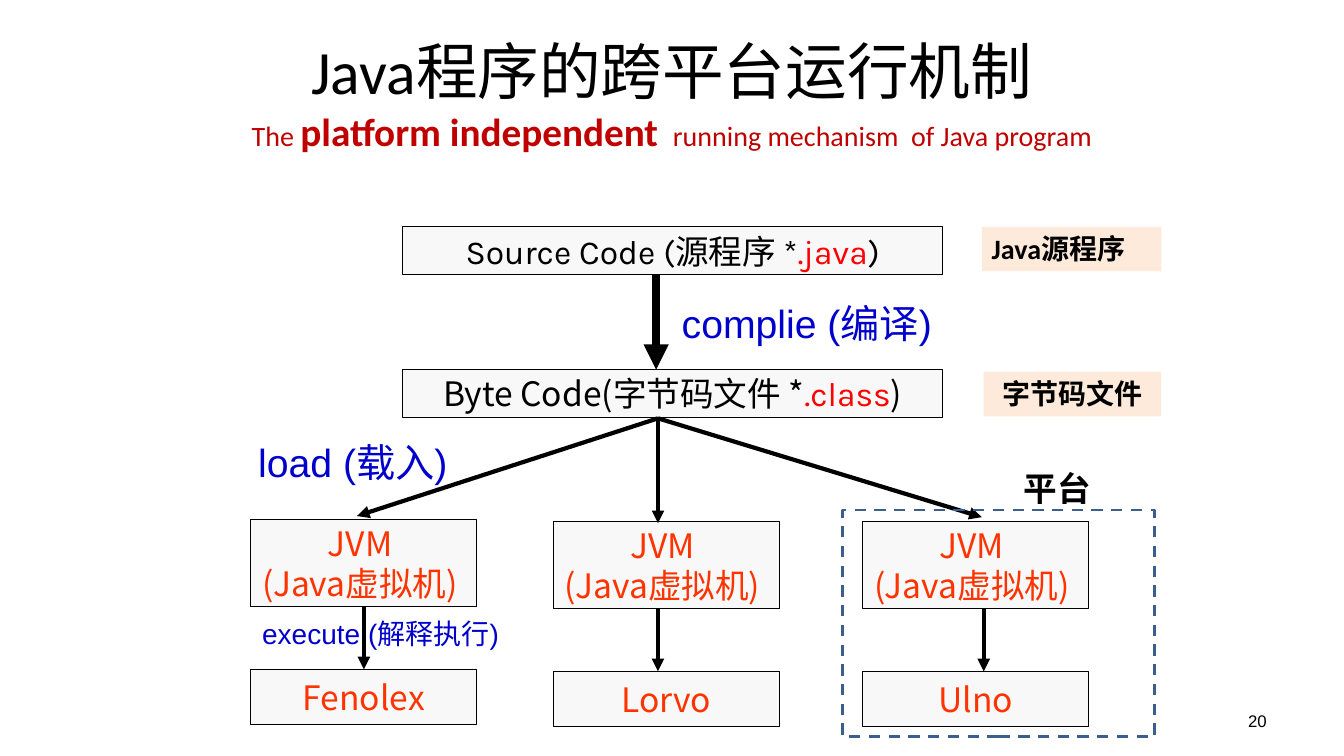
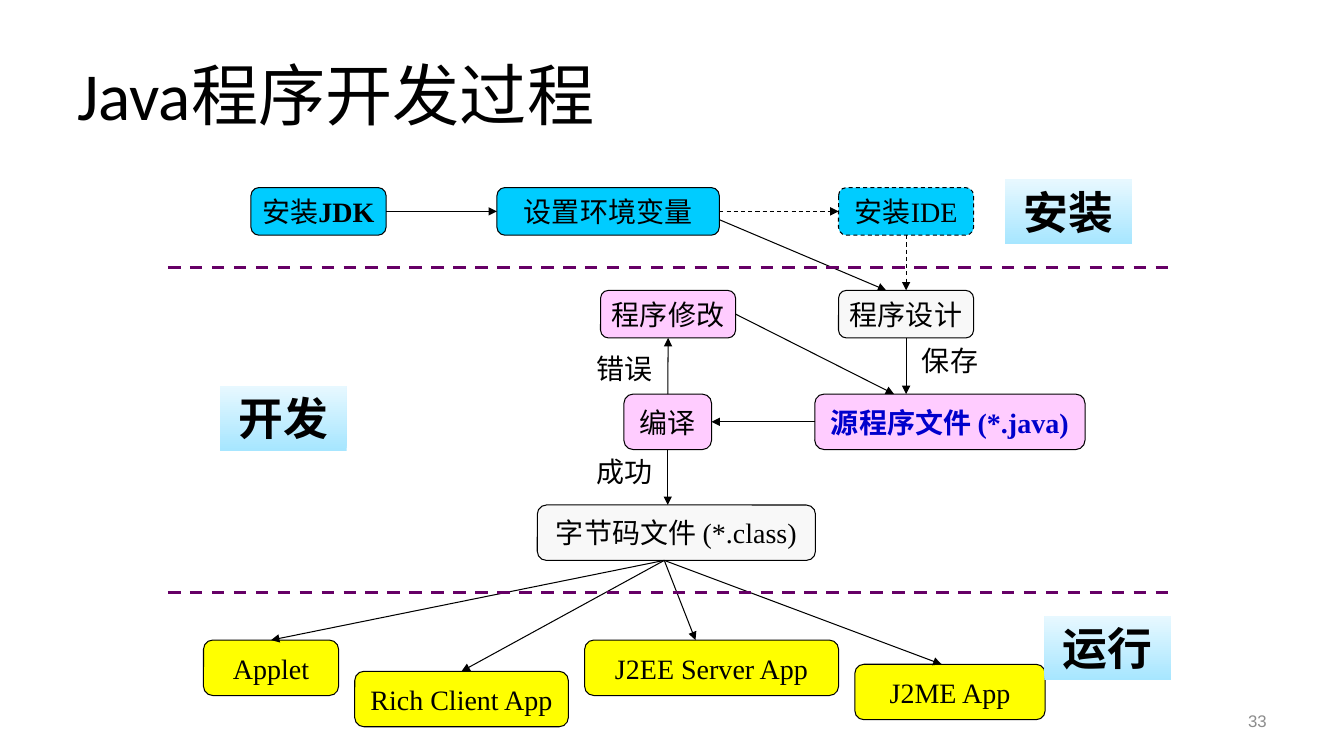
"""Build two slides on how Java programs run across platforms and are developed."""
from dataclasses import dataclass
from typing import NamedTuple, Optional, Union

from lxml.etree import SubElement
from pptx import Presentation
from pptx.dml.color import RGBColor
from pptx.enum.dml import MSO_LINE
from pptx.enum.shapes import MSO_CONNECTOR, MSO_SHAPE
from pptx.enum.text import MSO_ANCHOR as ANCHOR, PP_ALIGN as ALIGN
from pptx.oxml.ns import qn
from pptx.util import Pt

COLORS = {
    "black": "000000", "gray": "8C8C8C", "pale": "F8F8F8", "crimson": "C00000",
    "red": "FF0000", "orange": "FF3300", "blue": "0000CC", "peach": "FDEADA",
    "navy": "3A5F8C", "cyan": "00CCFF", "pink": "FFCCFF", "yellow": "FFFF00",
    "purple": "660066", "sky": "A7E6FF", "ice": "E7F8FF",
}
SANS, SERIF, ARIAL, KARLA = "Calibri", "Times New Roman", "Arial", "Karla"
CJK = "Noto Sans CJK SC"
RECT, ROUNDED = MSO_SHAPE.RECTANGLE, MSO_SHAPE.FLOWCHART_ALTERNATE_PROCESS
TOP, LEFT, BOTTOM, RIGHT = range(4)
BREAK = "\n"


class Run(NamedTuple):
    text: str
    size: float = 20
    font: str = SANS
    color: str = "black"
    bold: bool = False


class Joint(NamedTuple):
    box: str
    side: int


class Point(NamedTuple):
    x: float
    y: float


@dataclass
class Box:
    x: float
    y: float
    w: float
    h: float
    paragraphs: tuple[tuple[Run, ...], ...] = ()
    kind: Optional[MSO_SHAPE] = None
    fill: Optional[str] = None
    fade: Optional[str] = None
    line: Optional[str] = None
    width: float = 0.75
    dash: bool = False
    align: ALIGN = ALIGN.CENTER
    anchor: ANCHOR = ANCHOR.MIDDLE
    wrap: bool = True
    name: str = ""


@dataclass
class Link:
    start: Union[Joint, Point]
    end: Union[Joint, Point]
    width: float = 0.75
    dash: bool = False
    color: str = "black"
    arrow: bool = True


class Platform(NamedTuple):
    system: str
    x: float
    y: float
    entry: Point
    drop: Optional[float] = None


def rgb(name: str) -> RGBColor:
    return RGBColor.from_string(COLORS[name])


def style_line(line, color: str, width: float, dash: bool) -> None:
    line.color.rgb = rgb(color)
    line.width = Pt(width)
    if dash:
        line.dash_style = MSO_LINE.DASH


def add_run(p, run: Run) -> None:
    if run.text == BREAK:
        p.add_line_break()
        return
    r = p.add_run()
    r.text = run.text
    r.font.size = Pt(run.size)
    r.font.bold = run.bold
    r.font.color.rgb = rgb(run.color)
    r.font.name = run.font
    SubElement(r.font._element, qn("a:ea"), typeface=CJK)


def paint(sp, box: Box) -> None:
    sp.shadow.inherit = False
    if box.fade:
        sp.fill.gradient()
        sp.fill.gradient_angle = 90
        for stop, color in zip(sp.fill.gradient_stops, (box.fill, box.fade)):
            stop.color.rgb = rgb(color)
        for stop, position in zip(sp.fill.gradient_stops, (0, 1)):
            stop.position = position
    elif box.fill:
        sp.fill.solid()
        sp.fill.fore_color.rgb = rgb(box.fill)
    else:
        sp.fill.background()
    if box.line:
        style_line(sp.line, box.line, box.width, box.dash)
    else:
        sp.line.fill.background()


def draw_box(s, box: Box):
    frame = [Pt(v) for v in (box.x, box.y, box.w, box.h)]
    if box.kind is None:
        sp = s.shapes.add_textbox(*frame)
    else:
        sp = s.shapes.add_shape(box.kind, *frame)
        paint(sp, box)
    tf = sp.text_frame
    tf.word_wrap = box.wrap
    tf.vertical_anchor = box.anchor
    for i, runs in enumerate(box.paragraphs):
        p = tf.add_paragraph() if i else tf.paragraphs[0]
        p.alignment = box.align
        for run in runs:
            add_run(p, run)
    return sp


def draw_link(s, link: Link, shapes: dict) -> None:
    ends = [Point(0, 0) if isinstance(e, Joint) else e for e in (link.start, link.end)]
    line = s.shapes.add_connector(
        MSO_CONNECTOR.STRAIGHT, *(Pt(v) for point in ends for v in point))
    if isinstance(link.start, Joint):
        line.begin_connect(shapes[link.start.box], link.start.side)
    if isinstance(link.end, Joint):
        line.end_connect(shapes[link.end.box], link.end.side)
    style_line(line.line, link.color, link.width, link.dash)
    if link.arrow:
        SubElement(line.line._get_or_add_ln(), qn("a:tailEnd"), type="triangle")
    SubElement(line._element.spPr, qn("a:effectLst"))


def add_slide(prs, title: Box, number: str, number_color: str,
              boxes: list[Box], links: list[Link], labels: list[Box]) -> None:
    s = prs.slides.add_slide(prs.slide_layouts[6])
    footer = Box(688, 500.5, 224, 28.8, ((Run(number, 12, ARIAL, number_color),),),
                 align=ALIGN.RIGHT)
    for box in (title, footer):
        draw_box(s, box)
    shapes = {box.name: draw_box(s, box) for box in boxes}
    for link in links:
        draw_link(s, link, shapes)
    for label in labels:
        draw_box(s, label)


def node(name: str, x: float, y: float, w: float, h: float, *paragraphs,
         kind: MSO_SHAPE = RECT, fill: str = "pale", dash: bool = False) -> Box:
    return Box(x, y, w, h, paragraphs, kind, fill, line="black", dash=dash,
               wrap=False, name=name)


def label(x: float, y: float, w: float, h: float, run: Run, **style) -> Box:
    return Box(x, y, w, h, ((run,),), anchor=ANCHOR.TOP, **style)


def build_mechanism(prs) -> None:
    title = Box(120, 5.8, 720, 122.4, ((
        Run("Java程序的跨平台运行机制", 44), Run(BREAK),
        Run("The ", color="crimson"),
        Run("platform independent ", 28, color="crimson", bold=True),
        Run(" running mechanism  of Java program", color="crimson")),))
    boxes = [
        node("source", 287.5, 162, 386, 34, (
            Run("Source Code (源程序 *", 24, KARLA), Run(".java", 24, KARLA, "red"),
            Run(")", 24, KARLA))),
        node("bytecode", 287.5, 264, 386, 34, (
            Run("Byte Code(字节码文件 *", 24, CJK), Run(".class", 24, KARLA, "red"),
            Run(")", 24, CJK))),
    ]
    links = [Link(Point(468.7, 196.5), Point(468.7, 264), 6)]
    fork = Point(470, 298.8)
    platforms = [
        Platform("Lorvo", 395.3, 372.2, Point(470, 373.7), 470),
        Platform("Ulno", 616.3, 372.2, Point(701.3, 369.4), 702.7),
        Platform("Fenolex", 179.3, 370.8, Point(255, 368.6)),
    ]
    for system, x, y, entry, drop in platforms:
        jvm = f"{system} JVM"
        boxes += [
            node(jvm, x, y, 161.3, 62.6, (Run("JVM ", 24, CJK, "orange"),),
                 (Run("(Java虚拟机) ", 24, CJK, "orange"),)),
            node(system, x, y + 107.3, 161.3, 39.6, (Run(system, 24, CJK, "orange"),)),
        ]
        start = Point(drop, y + 62.6) if drop else Joint(jvm, BOTTOM)
        end = Point(drop, y + 107.3) if drop else Joint(system, TOP)
        links += [Link(fork, entry, 3), Link(start, end, 3)]
    labels = [
        label(451.4, 210.2, 249.8, 41, Run("complie (编译)", 28, ARIAL, "blue")),
        label(164.2, 309.6, 175.7, 41, Run("load (载入)", 28, ARIAL, "blue")),
        label(164.2, 437, 215.3, 31.7, Run("execute (解释执行)", 20, ARIAL, "blue")),
        label(701.3, 162, 128.2, 31.7, Run("Java源程序", bold=True), kind=RECT,
              fill="peach", align=ALIGN.LEFT),
        label(702.7, 265.7, 126.7, 31.7, Run("字节码文件", bold=True), kind=RECT,
              fill="peach"),
        Box(602, 364.3, 222.5, 162, kind=RECT, line="navy", width=2, dash=True),
        label(724.3, 330.5, 80, 36, Run("平台", 24, bold=True), align=ALIGN.LEFT),
    ]
    add_slide(prs, title, "20", "black", boxes, links, labels)


def build_process(prs) -> None:
    def step(name: str, x: float, y: float, w: float, h: float, fill: str,
             *runs: Run, dash: bool = False) -> Box:
        runs = runs or (Run(name, font=SERIF),)
        return node(name, x, y, w, h, runs, kind=ROUNDED, fill=fill, dash=dash)

    title = Box(48, 21.6, 864, 90, ((Run("Java程序开发过程", 48),),), align=ALIGN.LEFT)
    short, tall = 34, 39.6
    boxes = [
        step("JDK", 179.3, 134, 96.5, short, "cyan", Run("安装", font=SERIF),
             Run("JDK", font=SERIF, bold=True)),
        step("设置环境变量", 355, 134, 158.8, short, "cyan"),
        step("安装IDE", 599, 134, 96.5, short, "cyan", dash=True),
        step("source", 582, 281.5, 193, tall, "pink",
             Run("源程序文件 (*.java)", 20, SERIF, "blue", True)),
        step("编译", 445.7, 281.5, 62.6, tall, "pink", Run("编译")),
        step("字节码文件 (*.class)", 383.8, 360.7, 198.7, tall, "pale"),
        step("程序设计", 599, 207.4, 96.5, short, "pale"),
        step("程序修改", 429, 207.4, 96.5, short, "pink"),
        step("Applet", 145.4, 457.2, 96.5, tall, "yellow"),
        step("Rich Client App", 253.4, 479.5, 152.6, tall, "yellow"),
        step("J2EE Server App", 417.6, 457.2, 181.4, tall, "yellow"),
        step("J2ME App", 610.6, 474.5, 136, tall, "yellow"),
    ]
    fork = Point(474.5, 400.3)
    links = [
        Link(Joint("JDK", RIGHT), Joint("设置环境变量", LEFT)),
        Link(Joint("设置环境变量", RIGHT), Joint("安装IDE", LEFT), dash=True),
        Link(Point(514, 157), Point(633, 207.4)),
        Link(Joint("安装IDE", BOTTOM), Joint("程序设计", TOP), dash=True),
        Link(Joint("程序修改", RIGHT), Point(638.6, 281.5)),
        Link(Joint("程序设计", BOTTOM), Point(647.25, 281.5)),
        Link(Joint("source", LEFT), Joint("编译", RIGHT)),
        Link(Joint("编译", TOP), Joint("程序修改", BOTTOM)),
        Link(Joint("编译", BOTTOM), Point(477, 360.7)),
        Link(fork, Joint("Applet", TOP)),
        Link(fork, Joint("Rich Client App", TOP)),
        Link(fork, Point(496.8, 457.2)),
        Link(fork, Point(672.5, 474.5)),
    ]
    links += [Link(Point(120, y), Point(840, y), 2.25, True, "purple", False)
              for y in (190.8, 423.4)]
    notes = [("错误", 411.8, 247.7), ("成功", 411.8, 321), ("保存", 644.4, 242)]
    stages = [("安装", 717.8, 128.2), ("开发", 157, 275.8), ("运行", 746, 440)]
    labels = [label(x, y, 68.4, 31.7, Run(text)) for text, x, y in notes]
    labels += [label(x, y, 90.7, 46, Run(text, 32, bold=True), kind=RECT, fill="sky",
                     fade="ice") for text, x, y in stages]
    add_slide(prs, title, "33", "gray", boxes, links, labels)


def main() -> None:
    prs = Presentation()
    prs.slide_width, prs.slide_height = Pt(960), Pt(540)
    build_mechanism(prs)
    build_process(prs)
    prs.save("out.pptx")


if __name__ == "__main__":
    main()
